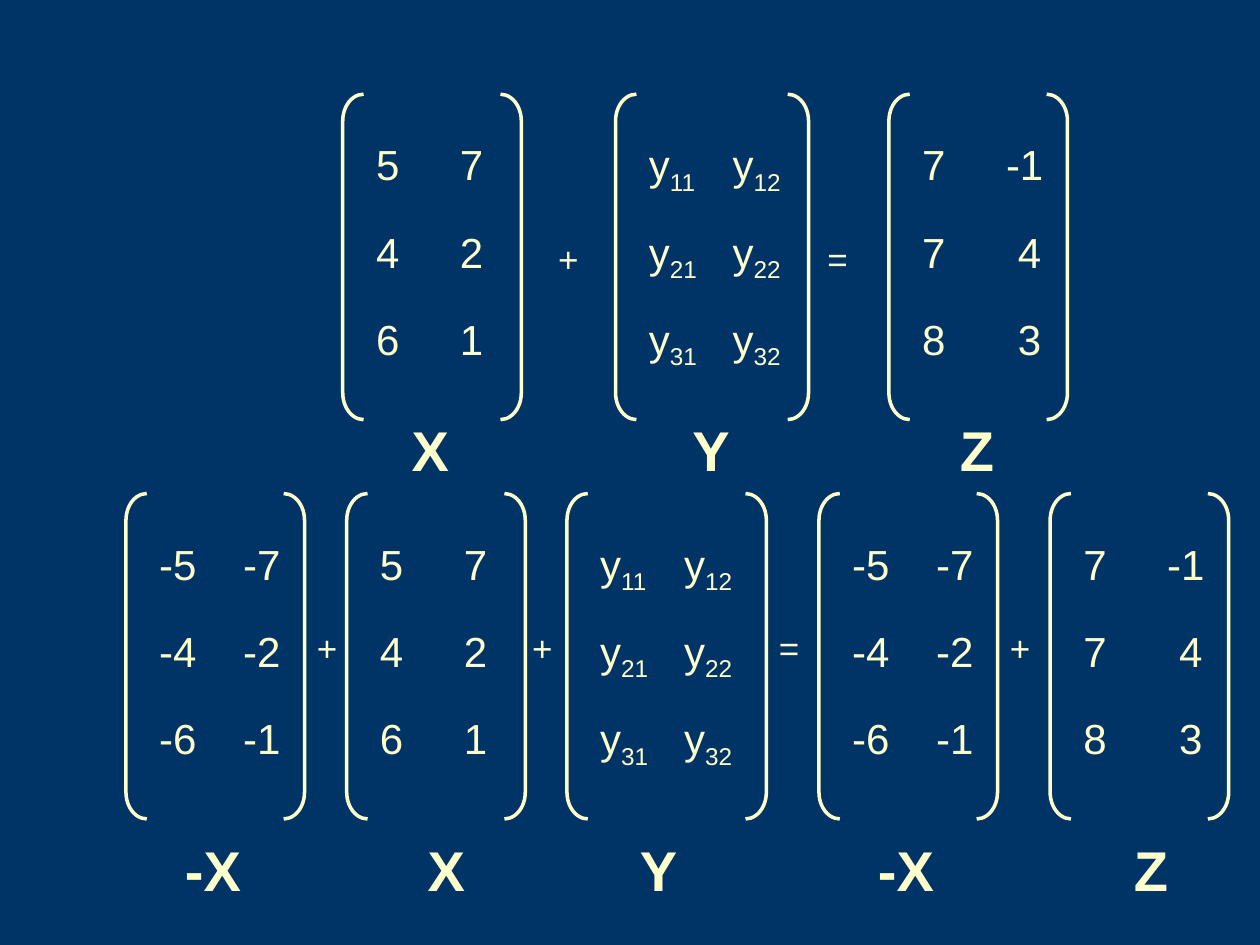
import pptx
import pptx.dml.color
import pptx.enum.shapes
import pptx.enum.text
import pptx.oxml
import pptx.oxml.ns
import pptx.util

Cm = pptx.util.Cm
Pt = pptx.util.Pt
SHAPE = pptx.enum.shapes.MSO_SHAPE

NAVY = pptx.dml.color.RGBColor(0x00, 0x33, 0x66)
CREAM = pptx.dml.color.RGBColor(0xFF, 0xFF, 0xCC)
PLAIN_TABLE_STYLE = "{2D5ABB26-0587-4C30-8999-92F81FD0307C}"

X = [["5", "7"], ["4", "2"], ["6", "1"]]
MINUS_X = [["-" + value for value in row] for row in X]
# A cell given as a pair is a symbol and its subscript.
Y = [[("y", f"{row}{column}") for column in (1, 2)] for row in (1, 2, 3)]
Z = [["7", "-1"], ["7", "4"], ["8", "3"]]

# Lengths in cm. Matrices: values, left, width. Operators: sign, left.
# Labels: names, left and width of the box, tab stops of the later names.
EQUATIONS = [
    {
        "top": 1.9,
        "matrices": [(X, 6.91, 3.6), (Y, 12.41, 3.89), (Z, 17.92, 3.6)],
        "operators": [("+", 11), ("=", 16.43)],
        "operator_top": 4.66,
        "names": ["X", "Y", "Z"],
        "names_box": (8.05, 8.26, 13.69),
        "stops": [5.66, 11.05],
    },
    {
        "top": 9.95,
        "matrices": [(MINUS_X, 2.54, 3.6), (X, 6.99, 3.6), (Y, 11.43, 4.02),
                     (MINUS_X, 16.51, 3.6), (Z, 21.17, 3.6)],
        "operators": [("+", 6.14), ("+", 10.48), ("=", 15.45), ("+", 20.11)],
        "operator_top": 12.5,
        "names": ["-X", "X", "Y", "-X", "Z"],
        "names_box": (3.48, 16.72, 21.6),
        "stops": [4.89, 9.17, 13.97, 19.13],
    },
]

BRACKET_WIDTH, BRACKET_HEIGHT = 0.42, 6.56
BRACKET_CURVE = 1.29
TABLE_DROP = 0.85
CELL_WIDTH, CELL_HEIGHT = 1.69, 1.76
CELL_MARGIN, SIGN_INDENT = 0.25, 0.24


def add_span(para, text, size, bold=False, subscript=False):
    span = para.add_run()
    span.text = text
    span.font.name = "Arial"
    span.font.size = Pt(size)
    span.font.bold = bold
    span.font.color.rgb = CREAM
    if subscript:
        span.font._element.set("baseline", "-25000")


def add_text(page, text, left, top, width, height, size, bold=False):
    box = page.shapes.add_textbox(Cm(left), Cm(top), Cm(width), Cm(height))
    box.text_frame.word_wrap = True
    box.text_frame.auto_size = pptx.enum.text.MSO_AUTO_SIZE.SHAPE_TO_FIT_TEXT
    para = box.text_frame.paragraphs[0]
    add_span(para, text, size, bold)
    return para


def add_tab_stops(para, stops):
    properties = para._p.get_or_add_pPr()
    tabs = pptx.oxml.parse_xml(f"<a:tabLst {pptx.oxml.ns.nsdecls('a')}/>")
    for stop in stops:
        tabs.append(pptx.oxml.parse_xml(
            f'<a:tab {pptx.oxml.ns.nsdecls("a")} pos="{Cm(stop)}" algn="l"/>'))
    properties.append(tabs)


def add_bracket(page, kind, left, top):
    bracket = page.shapes.add_shape(
        kind, Cm(left), Cm(top), Cm(BRACKET_WIDTH), Cm(BRACKET_HEIGHT))
    bracket.adjustments[0] = BRACKET_CURVE
    bracket.shadow.inherit = False
    bracket.fill.background()
    bracket.line.color.rgb = CREAM
    bracket.line.width = Pt(2)


def add_matrix(page, values, left, top, width):
    rows, columns = len(values), len(values[0])
    table = page.shapes.add_table(
        rows, columns, Cm(left + BRACKET_WIDTH), Cm(top + TABLE_DROP),
        Cm(columns * CELL_WIDTH), Cm(rows * CELL_HEIGHT)).table
    table.first_row = table.horz_banding = False
    table._tbl.tblPr.find(
        pptx.oxml.ns.qn("a:tableStyleId")).text = PLAIN_TABLE_STYLE
    for column, entries in enumerate(zip(*values)):
        has_signs = any(entry[0] == "-" for entry in entries)
        for row, entry in enumerate(entries):
            cell = table.cell(row, column)
            cell.fill.background()
            # Unsigned values line up with the digits of signed ones.
            indent = SIGN_INDENT if has_signs and entry[0] != "-" else 0
            cell.margin_left = Cm(CELL_MARGIN + indent)
            para = cell.text_frame.paragraphs[0]
            if isinstance(entry, tuple):
                symbol, index = entry
                add_span(para, symbol, 24)
                add_span(para, index, 24, subscript=True)
            else:
                add_span(para, entry, 24)
    add_bracket(page, SHAPE.LEFT_BRACKET, left, top)
    add_bracket(page, SHAPE.RIGHT_BRACKET, left + width - BRACKET_WIDTH, top)


def main():
    deck = pptx.Presentation()
    deck.slide_width, deck.slide_height = Cm(25.4), Cm(19.05)
    page = deck.slides.add_slide(deck.slide_layouts[6])
    page.background.fill.solid()
    page.background.fill.fore_color.rgb = NAVY
    for equation in EQUATIONS:
        for values, left, width in equation["matrices"]:
            add_matrix(page, values, left, equation["top"], width)
        for sign, left in equation["operators"]:
            add_text(page, sign, left, equation["operator_top"], 1.06, 1.11, 20)
        left, top, width = equation["names_box"]
        names = add_text(page, "\t".join(equation["names"]),
                         left, top, width, 1.62, 32, bold=True)
        add_tab_stops(names, equation["stops"])
    deck.save("out.pptx")


if __name__ == "__main__":
    main()
